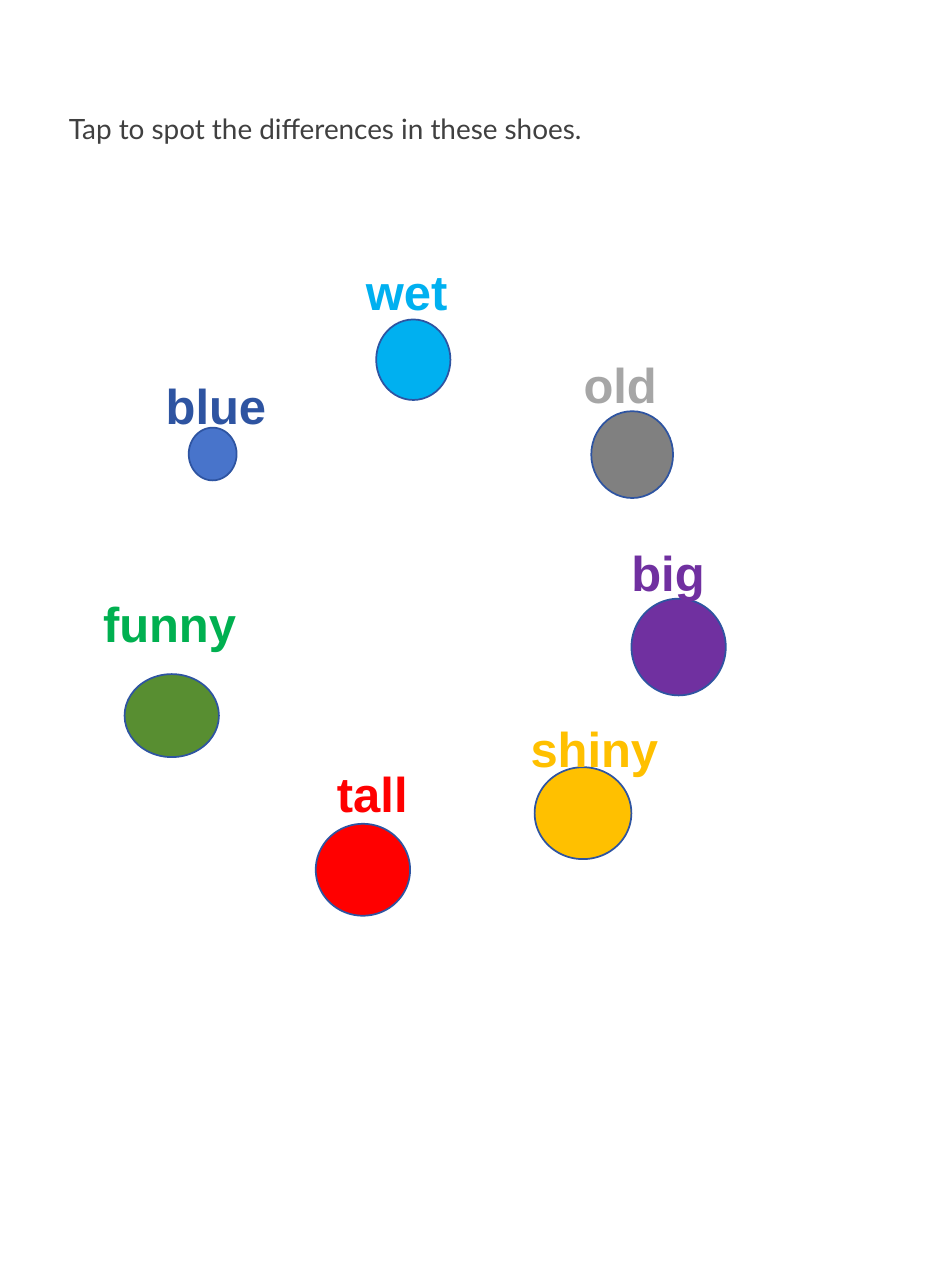
from dataclasses import dataclass

import pptx
import pptx.dml.color
import pptx.enum.shapes
import pptx.enum.text
import pptx.util

Pt = pptx.util.Pt
OUTLINE = "2E54A1"


@dataclass(frozen=True)
class Box:
    left: float
    top: float
    width: float
    height: float

    def lengths(self) -> list[pptx.util.Length]:
        return [Pt(v) for v in (self.left, self.top, self.width, self.height)]


@dataclass(frozen=True)
class Adjective:
    word: str
    word_color: str
    word_box: Box
    dot_color: str
    dot_box: Box
    indent: float = 0


ADJECTIVES = [
    Adjective("blue", OUTLINE, Box(87.8, 208.8, 81.4, 19.4),
              "4874CB", Box(108, 244.8, 27.4, 30.2)),
    Adjective("wet", "00B0F0", Box(202.3, 143.3, 63.4, 35.3),
              "00B0F0", Box(215.3, 182.9, 42.5, 46.1)),
    Adjective("old", "A6A6A6", Box(326.9, 196.6, 69.8, 31.7),
              "808080", Box(338.4, 235.4, 46.8, 49.7)),
    Adjective("big", "7030A0", Box(349.2, 304.6, 66.2, 38.2),
              "7030A0", Box(361.4, 342.7, 54, 55.4), indent=5),
    Adjective("shiny", "FFC000", Box(296.6, 405.4, 88.6, 34.6),
              "FFC000", Box(306, 439.2, 55.4, 52.6)),
    Adjective("tall", "FF0000", Box(180.7, 430.6, 69.8, 34.6),
              "FF0000", Box(180.7, 471.6, 54, 52.6), indent=5),
    Adjective("funny", "00B050", Box(46.8, 333.4, 104.4, 45.4),
              "588E31", Box(71.3, 385.9, 54, 47.5), indent=5),
]


def rgb(color: str) -> pptx.dml.color.RGBColor:
    return pptx.dml.color.RGBColor.from_string(color)


def add_text(slide, text: str, box: Box, color: str, font_format: dict,
             inset_left: float = 7.2, inset_top: float = 3.6) -> None:
    frame = slide.shapes.add_textbox(*box.lengths()).text_frame
    frame_format = {
        "word_wrap": True,
        "vertical_anchor": pptx.enum.text.MSO_ANCHOR.TOP,
        "margin_left": Pt(inset_left),
        "margin_top": Pt(inset_top),
        "margin_right": Pt(0),
    }
    for name, value in frame_format.items():
        setattr(frame, name, value)
    run = frame.paragraphs[0].add_run()
    run.text = text
    for name, value in font_format.items():
        setattr(run.font, name, value)
    run.font.color.rgb = rgb(color)


def add_dot(slide, box: Box, color: str) -> None:
    dot = slide.shapes.add_shape(pptx.enum.shapes.MSO_SHAPE.OVAL, *box.lengths())
    dot.shadow.inherit = False
    dot.fill.solid()
    dot.fill.fore_color.rgb = rgb(color)
    dot.line.color.rgb = rgb(OUTLINE)
    dot.line.width = Pt(1)


def main() -> None:
    deck = pptx.Presentation()
    deck.slide_width, deck.slide_height = Pt(538.56), Pt(737.28)
    slide = deck.slides.add_slide(deck.slide_layouts[6])

    # Instruction
    add_text(slide, "Tap to spot the differences in these shoes.",
             Box(32.4, 60.5, 404, 38.2), "404040",
             {"name": "Lato", "size": Pt(16)})

    # Dots to tap
    for adjective in ADJECTIVES:
        add_dot(slide, adjective.dot_box, adjective.dot_color)

    # Words above the dots
    word_format = {"name": "Arial", "size": Pt(28), "bold": True}
    for adjective in ADJECTIVES:
        add_text(slide, adjective.word, adjective.word_box, adjective.word_color,
                 word_format, inset_left=7.2 + adjective.indent, inset_top=6.2)

    deck.save("out.pptx")


if __name__ == "__main__":
    main()
